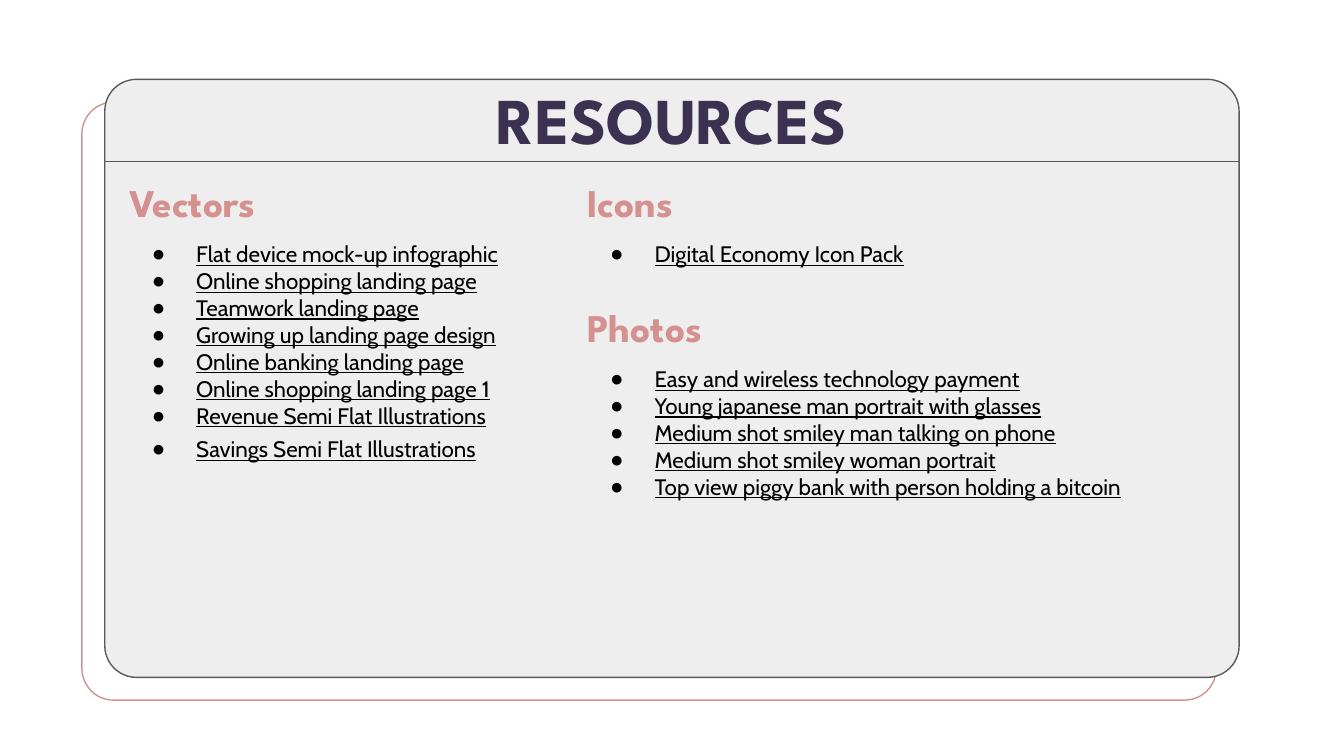
from lxml import etree
from pptx import Presentation
from pptx.dml.color import RGBColor
from pptx.enum import shapes, text
from pptx.oxml import ns
from pptx.util import Inches, Pt

WHITE = RGBColor(0xFF, 0xFF, 0xFF)
BLACK = RGBColor(0x00, 0x00, 0x00)
GRAY = RGBColor(0xEE, 0xEE, 0xEE)
DARK_GRAY = RGBColor(0x59, 0x59, 0x59)
PINK = RGBColor(0xD5, 0x90, 0x90)
PURPLE = RGBColor(0x3B, 0x32, 0x52)

HEADING_FONT = "League Spartan"
BODY_FONT = "Cabin"
BULLET_FONT = "Arial"

TITLE = "RESOURCES"
LEFT_COLUMN = (0.96, 3.25)
RIGHT_COLUMN = (4.37, 4.45)
SECTIONS = [
    ("Vectors", LEFT_COLUMN, 1.33, 2.08, [
        "Flat device mock-up infographic",
        "Online shopping landing page",
        "Teamwork landing page",
        "Growing up landing page design",
        "Online banking landing page",
        "Online shopping landing page 1",
        "Revenue Semi Flat Illustrations",
        "Savings Semi Flat Illustrations",
    ]),
    ("Icons", RIGHT_COLUMN, 1.33, 0.36, ["Digital Economy Icon Pack"]),
    ("Photos", RIGHT_COLUMN, 2.26, 1.15, [
        "Easy and wireless technology payment",
        "Young japanese man portrait with glasses",
        "Medium shot smiley man talking on phone",
        "Medium shot smiley woman portrait",
        "Top view piggy bank with person holding a bitcoin",
    ]),
]

PANEL_LEFT, PANEL_TOP, PANEL_WIDTH, PANEL_HEIGHT = 0.78, 0.59, 8.44, 4.45
PANEL_OFFSET = 0.17
TITLE_HEIGHT = 0.61
HEADING_HEIGHT = 0.4
LIST_OFFSET = 0.46


def add_panel(slide, left, top, line_color, fill_color=None):
    panel = slide.shapes.add_shape(
        shapes.MSO_SHAPE.ROUNDED_RECTANGLE,
        Inches(left), Inches(top), Inches(PANEL_WIDTH), Inches(PANEL_HEIGHT))
    panel.adjustments[0] = 0.053
    panel.shadow.inherit = False
    if fill_color is None:
        panel.fill.background()
    else:
        panel.fill.solid()
        panel.fill.fore_color.rgb = fill_color
    panel.line.color.rgb = line_color
    panel.line.width = Pt(0.75)


def add_divider(slide, left, right, y):
    divider = slide.shapes.add_connector(
        shapes.MSO_CONNECTOR.STRAIGHT,
        Inches(left), Inches(y), Inches(right), Inches(y))
    divider.line.color.rgb = DARK_GRAY
    divider.line.width = Pt(0.75)
    etree.SubElement(divider._element.spPr, ns.qn("a:effectLst"))


def add_text(slide, box, lines, font_name, size, color):
    shape = slide.shapes.add_textbox(*(Inches(value) for value in box))
    frame = shape.text_frame
    frame.word_wrap = True
    frame.vertical_anchor = text.MSO_ANCHOR.TOP
    frame.margin_left = frame.margin_right = 0
    frame.margin_top = frame.margin_bottom = 0
    frame.text = "\n".join(lines)
    for paragraph in frame.paragraphs:
        for run in paragraph.runs:
            run.font.name = font_name
            run.font.size = Pt(size)
            run.font.color.rgb = color
    return frame


def add_heading(slide, box, heading, size, color):
    frame = add_text(slide, box, [heading], HEADING_FONT, size, color)
    paragraph = frame.paragraphs[0]
    paragraph.runs[0].font.bold = True
    return paragraph


def add_bullet(paragraph):
    properties = paragraph._p.get_or_add_pPr()
    properties.set("marL", str(Inches(0.5)))
    properties.set("indent", str(Inches(-0.33)))
    bullet_color = etree.SubElement(properties, ns.qn("a:buClr"))
    etree.SubElement(bullet_color, ns.qn("a:srgbClr"), val=str(BLACK))
    etree.SubElement(properties, ns.qn("a:buFont"), typeface=BULLET_FONT)
    etree.SubElement(properties, ns.qn("a:buChar"), char="●")


def add_list(slide, box, items):
    frame = add_text(slide, box, items, BODY_FONT, 12, BLACK)
    for paragraph in frame.paragraphs:
        add_bullet(paragraph)
        paragraph.runs[0].font.underline = True
    return frame


def main():
    presentation = Presentation()
    presentation.slide_width = Inches(10)
    presentation.slide_height = presentation.slide_width * 9 // 16
    slide = presentation.slides.add_slide(presentation.slide_layouts[6])
    slide.background.fill.solid()
    slide.background.fill.fore_color.rgb = WHITE

    add_panel(slide, PANEL_LEFT - PANEL_OFFSET, PANEL_TOP + PANEL_OFFSET, PINK)
    add_panel(slide, PANEL_LEFT, PANEL_TOP, DARK_GRAY, GRAY)
    add_divider(slide, PANEL_LEFT, PANEL_LEFT + PANEL_WIDTH,
                PANEL_TOP + TITLE_HEIGHT)

    title = add_heading(
        slide, (PANEL_LEFT, PANEL_TOP, PANEL_WIDTH, TITLE_HEIGHT),
        TITLE, 35, PURPLE)
    title.alignment = text.PP_ALIGN.CENTER

    lists = {}
    for heading, (left, width), top, list_height, items in SECTIONS:
        add_heading(slide, (left, top, width, HEADING_HEIGHT), heading, 21, PINK)
        lists[heading] = add_list(
            slide, (left, top + LIST_OFFSET, width, list_height), items)
    lists["Vectors"].paragraphs[-1].line_spacing = 1.25

    presentation.save("out.pptx")


if __name__ == "__main__":
    main()
